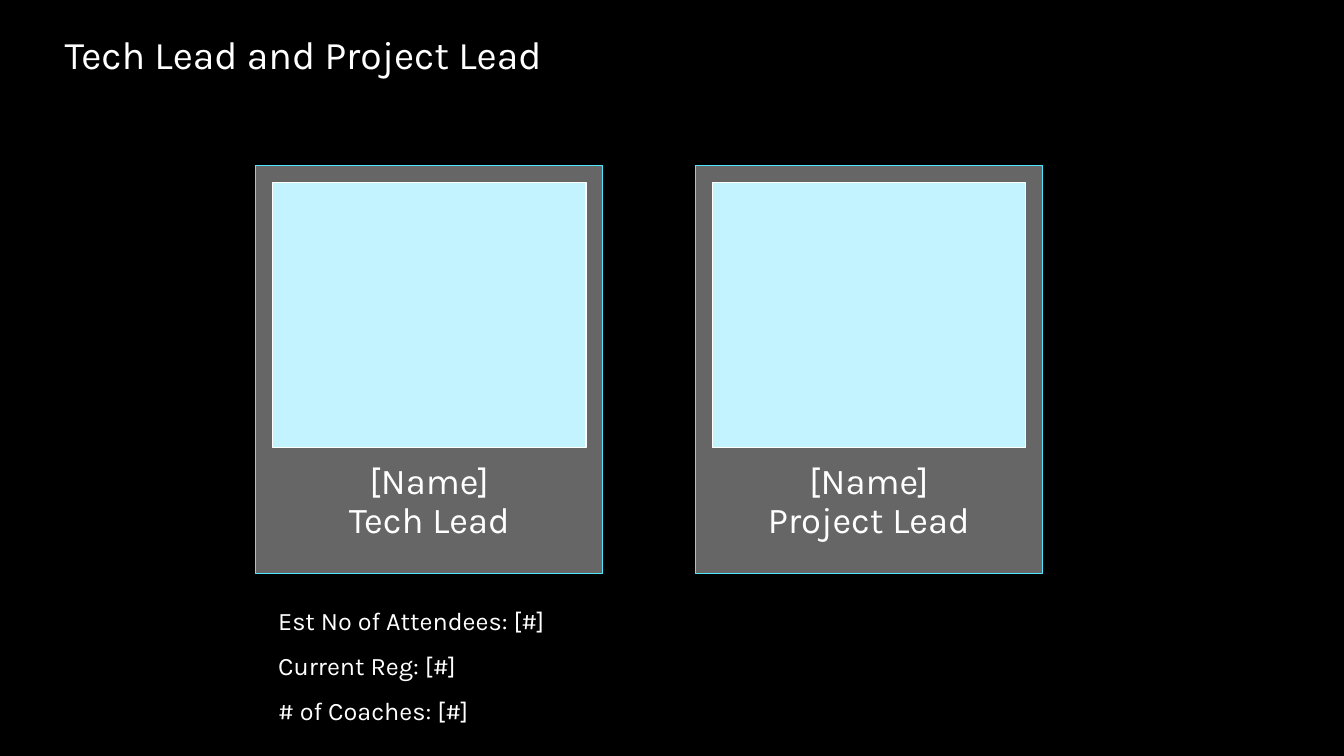
import pptx
import pptx.dml.color
import pptx.enum.shapes
import pptx.enum.text
import pptx.oxml
import pptx.oxml.ns
import pptx.util
from pptx.util import Cm

FONT = "Karla"
WHITE = "FFFFFF"
CYAN = "50E6FF"
PALE_BLUE = "C2F3FF"
BLACK = "000000"

CARD_TOP, CARD_WIDTH, CARD_HEIGHT = 4.17, 8.74, 10.29
CARD_LEFT, CARD_STEP = 6.45, 11.08
CARD_MARGIN = 0.42
PHOTO_HEIGHT, CAPTION_HEIGHT = 6.68, 2.77


def color(hex_string):
    return pptx.dml.color.RGBColor.from_string(hex_string)


def add_rectangle(shapes, left, top, width, height, fill, line, line_width, opacity=100):
    shape = shapes.add_shape(
        pptx.enum.shapes.MSO_SHAPE.RECTANGLE, Cm(left), Cm(top), Cm(width), Cm(height))
    shape.shadow.inherit = False
    shape.fill.solid()
    shape.fill.fore_color.rgb = color(fill)
    shape.line.color.rgb = color(line)
    shape.line.width = pptx.util.Pt(line_width)
    if opacity < 100:
        fill_color = shape._element.spPr.find(
            pptx.oxml.ns.qn("a:solidFill")).find(pptx.oxml.ns.qn("a:srgbClr"))
        alpha = pptx.oxml.parse_xml(
            f'<a:alpha {pptx.oxml.ns.nsdecls("a")} val="{opacity * 1000}"/>')
        fill_color.append(alpha)


def add_text(shapes, left, top, width, height, text, size, insets,
             anchor="TOP", align="LEFT", line_spacing=1.0):
    box = shapes.add_textbox(Cm(left), Cm(top), Cm(width), Cm(height))
    frame = box.text_frame
    frame.word_wrap = True
    frame.vertical_anchor = getattr(pptx.enum.text.MSO_ANCHOR, anchor)
    (frame.margin_left, frame.margin_top,
     frame.margin_right, frame.margin_bottom) = [Cm(inset) for inset in insets]
    frame.text = text
    for paragraph in frame.paragraphs:
        paragraph.alignment = getattr(pptx.enum.text.PP_ALIGN, align)
        paragraph.line_spacing = line_spacing
        for run in paragraph.runs:
            run.font.name = FONT
            run.font.size = pptx.util.Pt(size)
            run.font.color.rgb = color(WHITE)


def add_profile_card(slide, left, role):
    shapes = slide.shapes.add_group_shape().shapes
    inner_left = left + CARD_MARGIN
    inner_width = CARD_WIDTH - 2 * CARD_MARGIN
    photo_top = CARD_TOP + CARD_MARGIN
    add_rectangle(shapes, left, CARD_TOP, CARD_WIDTH, CARD_HEIGHT,
                  WHITE, CYAN, 0.75, opacity=40)
    add_rectangle(shapes, inner_left, photo_top, inner_width, PHOTO_HEIGHT,
                  PALE_BLUE, WHITE, 0.85)
    # A vertical tab breaks the line inside the paragraph
    add_text(shapes, inner_left, photo_top + PHOTO_HEIGHT, inner_width, CAPTION_HEIGHT,
             f"[Name]\v{role}", 26, [0.28] * 4, "MIDDLE", "CENTER", 0.9)


def main():
    presentation = pptx.Presentation()
    presentation.slide_width = Cm(33.87)
    presentation.slide_height = Cm(19.05)
    slide = presentation.slides.add_slide(presentation.slide_layouts[6])
    slide.background.fill.solid()
    slide.background.fill.fore_color.rgb = color(BLACK)

    # Title
    add_text(slide.shapes, 1.63, 0.58, 20.68, 1.37, "Tech Lead and Project Lead",
             28, [0, 0.18, 0, 0], "BOTTOM")

    # Profile cards
    for index, role in enumerate(["Tech Lead", "Project Lead"]):
        add_profile_card(slide, CARD_LEFT + index * CARD_STEP, role)

    # Attendance figures
    figures = ["Est No of Attendees: [#]", "Current Reg: [#]", "# of Coaches: [#]"]
    add_text(slide.shapes, 6.76, 14.73, 16.94, 3.58, "\n".join(figures),
             18, [0.25, 0.13, 0.25, 0.13], line_spacing=1.5)

    presentation.save("out.pptx")


if __name__ == "__main__":
    main()
